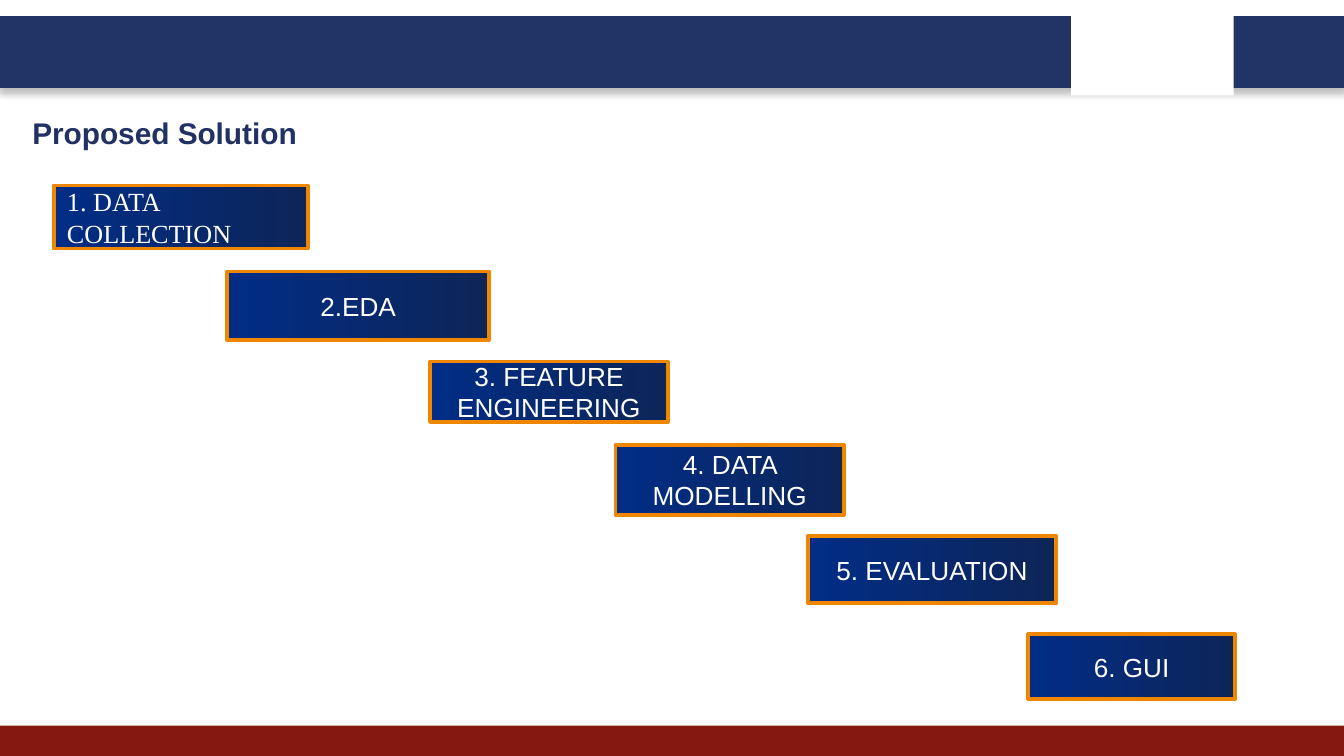
from lxml import etree
from pptx import Presentation
from pptx.dml.color import RGBColor
from pptx.enum.shapes import MSO_SHAPE
from pptx.enum.text import MSO_ANCHOR, MSO_AUTO_SIZE, PP_ALIGN
from pptx.oxml.ns import qn
from pptx.util import Inches, Pt

RECTANGLE = MSO_SHAPE.RECTANGLE
TOP, MIDDLE = MSO_ANCHOR.TOP, MSO_ANCHOR.MIDDLE
LEFT, CENTER = PP_ALIGN.LEFT, PP_ALIGN.CENTER
NO_AUTOFIT = MSO_AUTO_SIZE.NONE

NAVY = RGBColor(0x22, 0x33, 0x66)
TITLE_NAVY = RGBColor(0x21, 0x31, 0x63)
RED = RGBColor(0x85, 0x19, 0x10)
WHITE = RGBColor(0xFF, 0xFF, 0xFF)
STEP_BLUE = RGBColor(0x01, 0x2D, 0x86)
STEP_DARK = RGBColor(0x0E, 0x25, 0x57)
ORANGE = RGBColor(0xEF, 0x86, 0x00)


def add_rectangle(left, top, width, height):
    shape = slide.shapes.add_shape(
        RECTANGLE, Inches(left), Inches(top), Inches(width), Inches(height))
    shape.shadow.inherit = False
    return shape


def add_text(paragraph, text, font_name, size, color, bold=False):
    run = paragraph.add_run()
    run.text = text
    run.font.name = font_name
    run.font.size = Pt(size)
    run.font.bold = bold
    run.font.color.rgb = color


# 16:9 slide
prs = Presentation()
prs.slide_width = Inches(10)
prs.slide_height = Inches(10) * 9 // 16
slide = prs.slides.add_slide(prs.slide_layouts[5])

# Header band, footer band and the white gap in the header
bands = []
for left, top, width, height, color in [
    (0, 0.13, 10, 0.51, NAVY),
    (0, 5.4, 10, 0.23, RED),
    (7.97, 0.07, 1.21, 0.64, WHITE),
]:
    band = add_rectangle(left, top, width, height)
    band.fill.solid()
    band.fill.fore_color.rgb = color
    band.line.fill.background()
    bands.append(band)

header = bands[0]
header.line.color.rgb = NAVY
header.line.width = Pt(2)
effects = header._element.spPr.find(qn("a:effectLst"))
shadow = etree.SubElement(
    effects, qn("a:outerShdw"), blurRad=str(Pt(4)), dist=str(Pt(3)),
    dir="5400000", algn="t", rotWithShape="0")
shadow_color = etree.SubElement(shadow, qn("a:srgbClr"), val="000000")
etree.SubElement(shadow_color, qn("a:alpha"), val="25000")

# Title
title = slide.shapes.title
title.left, title.top = Inches(0.14), Inches(0.75)
title.width, title.height = Inches(3.21), Inches(0.35)
frame = title.text_frame
frame.auto_size = NO_AUTOFIT
frame.vertical_anchor = TOP
frame.margin_left = frame.margin_right = Inches(0.1)
frame.margin_top = frame.margin_bottom = Inches(0.1)
frame.paragraphs[0].alignment = LEFT
add_text(frame.paragraphs[0], "Proposed Solution", "Arial", 16, TITLE_NAVY, True)

# Staircase of steps
steps = [
    ("1. DATA COLLECTION", 0.4, 1.38, 1.89, 0.47, "Times New Roman", LEFT),
    ("2.EDA", 1.69, 2.02, 1.95, 0.51, "Arial", CENTER),
    ("3. FEATURE ENGINEERING", 3.2, 2.69, 1.77, 0.45, "Arial", CENTER),
    ("4. DATA MODELLING", 4.58, 3.31, 1.7, 0.52, "Arial", CENTER),
    ("5. EVALUATION", 6.01, 3.99, 1.85, 0.5, "Arial", CENTER),
    ("6. GUI", 7.65, 4.72, 1.54, 0.48, "Arial", CENTER),
]
for label, left, top, width, height, font_name, alignment in steps:
    step = add_rectangle(left, top, width, height)
    step.fill.gradient()
    step.fill.gradient_angle = 0
    for stop, color in zip(step.fill.gradient_stops, (STEP_BLUE, STEP_DARK)):
        stop.color.rgb = color
    step.line.color.rgb = ORANGE
    step.line.width = Pt(2)
    frame = step.text_frame
    frame.word_wrap = True
    frame.vertical_anchor = MIDDLE
    frame.paragraphs[0].alignment = alignment
    add_text(frame.paragraphs[0], label, font_name, 14, WHITE)

prs.save("out.pptx")
